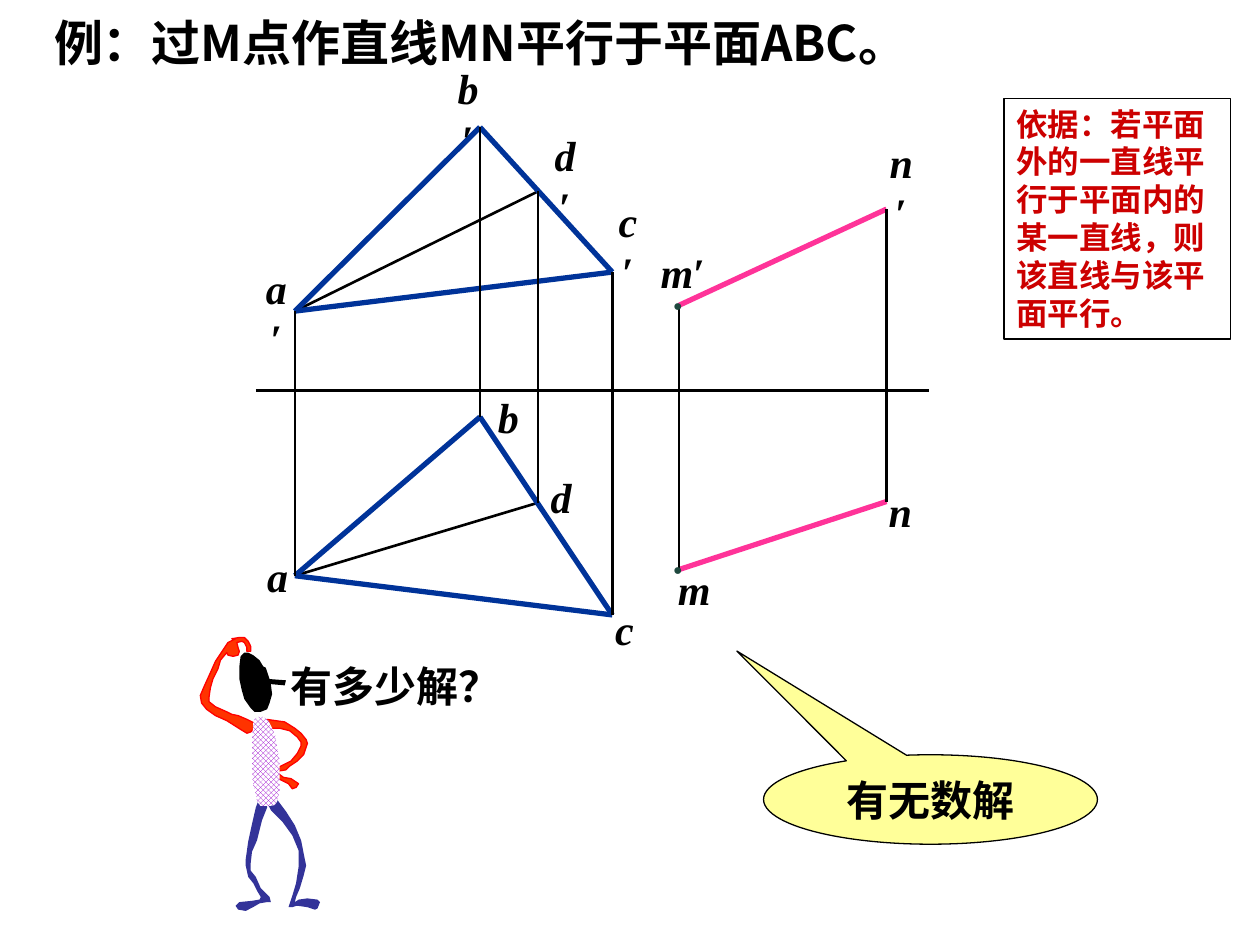
from dataclasses import dataclass

from lxml import etree
from pptx import Presentation
from pptx.dml.color import RGBColor
from pptx.enum.dml import MSO_PATTERN
from pptx.enum.shapes import MSO_CONNECTOR, MSO_SHAPE
from pptx.enum.text import MSO_ANCHOR, PP_ALIGN
from pptx.oxml.ns import qn
from pptx.util import Pt

STRAIGHT = MSO_CONNECTOR.STRAIGHT
RECT, CALLOUT = MSO_SHAPE.RECTANGLE, MSO_SHAPE.OVAL_CALLOUT
TOP, MIDDLE = MSO_ANCHOR.TOP, MSO_ANCHOR.MIDDLE
LEFT, CENTER = PP_ALIGN.LEFT, PP_ALIGN.CENTER
TRELLIS = MSO_PATTERN.TRELLIS


@dataclass(frozen=True)
class Theme:
    latin: str = "Times New Roman"
    cjk: str = "Noto Sans CJK SC"
    black: str = "000000"
    white: str = "FFFFFF"
    plane: str = "003399"
    answer: str = "FF3399"
    dot: str = "1E483E"
    rule: str = "CC0000"
    balloon: str = "FFFF99"
    skin: str = "FF3300"
    skin_edge: str = "FF0000"
    legs: str = "333399"
    shirt: str = "9900CC"
    title: float = 28
    body: float = 24
    note: float = 18
    mark: float = 9
    thin: float = 0.75
    medium: float = 1.5
    thick: float = 3


def rgb(color):
    return RGBColor.from_string(color)


class Drawing:
    def __init__(self, slide, theme):
        self.shapes = slide.shapes
        self.t = theme

    def fill_text(self, sp, text, size, color, font, align=LEFT, anchor=MIDDLE, wrap=True):
        tf = sp.text_frame
        tf.word_wrap = wrap
        tf.vertical_anchor = anchor
        p = tf.paragraphs[0]
        p.text = text
        p.alignment = align
        for r in p.runs:
            self.style(r, size, color, font)
        return sp

    def style(self, r, size, color, font):
        r.font.size, r.font.bold, r.font.name = Pt(size), True, font
        r.font.color.rgb = rgb(color)
        if font == self.t.cjk:
            etree.SubElement(r._r.rPr, qn("a:ea")).set("typeface", font)

    def text(self, text, box, size, color, font, **options):
        sp = self.shapes.add_textbox(*map(Pt, box))
        return self.fill_text(sp, text, size, color, font, **options)

    def label(self, letter, left, top, width, prime=False):
        """Italic point name; a prime stays upright and drops below in a narrow box."""
        sp = self.text(letter, (left, top, width, 36), self.t.body, self.t.black,
                       self.t.latin, align=CENTER, wrap=prime)
        tf = sp.text_frame
        p = tf.paragraphs[0]
        p.runs[0].font.italic = True
        if prime:
            tf.margin_left = tf.margin_right = Pt(8.5)
            r = p.add_run()
            r.text = "′"
            self.style(r, self.t.body, self.t.black, self.t.latin)

    def line(self, start, end, color, width):
        cx = self.shapes.add_connector(STRAIGHT, *map(Pt, (*start, *end)))
        cx.line.color.rgb, cx.line.width = rgb(color), Pt(width)
        etree.SubElement(cx._element.spPr, qn("a:effectLst"))

    def box(self, kind, box, fill=None):
        sp = self.shapes.add_shape(kind, *map(Pt, box))
        sp.shadow.inherit = False
        if fill:
            sp.fill.solid()
            sp.fill.fore_color.rgb = rgb(fill)
        else:
            sp.fill.background()
        sp.line.color.rgb, sp.line.width = rgb(self.t.black), Pt(self.t.thin)
        return sp

    def outline(self, points, fill, edge=None, pattern=None):
        """Closed outline on a grid of 0.72 pt."""
        fb = self.shapes.build_freeform(*points[0], scale=Pt(0.72))
        fb.add_line_segments(points[1:], close=True)
        sp = fb.convert_to_shape()
        sp.shadow.inherit = False
        if pattern:
            sp.fill.patterned()
            sp.fill.pattern = pattern
            sp.fill.back_color.rgb = rgb(self.t.white)
        else:
            sp.fill.solid()
        sp.fill.fore_color.rgb = rgb(fill)
        if edge:
            sp.line.color.rgb, sp.line.width = rgb(edge), Pt(self.t.thin)
        else:
            sp.line.fill.background()
        return sp


# Vertices of the front view (upper case) and the top view (lower case)
POINTS = {
    "A": (168.5, 177.8), "B": (274.3, 72.7), "C": (349.9, 155.5), "D": (307.4, 109.4),
    "M": (388, 174.5), "N": (506.6, 119.5),
    "a": (168.5, 329), "b": (274.3, 238.3), "c": (349.9, 351.4), "d": (307.4, 287.3),
    "m": (388, 325.5), "n": (506.6, 286.6),
}
# Point names: letter, left, top, width, primed
LABELS = [
    ("a", 141.8, 160.6, 32.4, True), ("b", 251.3, 46.8, 32.4, True),
    ("c", 343.4, 122.4, 31, True), ("d", 306.7, 85, 32.4, True),
    ("m", 357.1, 137.5, 66.2, True), ("n", 498.2, 88.6, 33.8, True),
    ("a", 145.4, 311, 26.6, False), ("b", 277.2, 220.3, 26.6, False),
    ("c", 344.2, 341.3, 25.2, False), ("d", 307.4, 265.7, 26.6, False),
    ("m", 380.2, 318.2, 33.1, False), ("n", 500.4, 273.6, 28.1, False),
]
# Outlines of the thinking figure
HEAD = [(209, 529), (206, 524), (201, 520), (197, 518), (194, 518), (191, 521), (190, 529),
        (190, 539), (192, 548), (194, 555), (199, 562), (202, 565), (207, 565), (212, 563),
        (214, 558), (216, 551), (215, 543), (226, 544), (227, 540), (214, 539), (211, 530)]
RAISED_ARM = [(184, 507), (190, 506), (194, 506), (197, 509), (199, 513), (199, 517),
              (196, 517), (196, 514), (194, 510), (192, 509), (188, 510), (189, 514),
              (190, 517), (189, 520), (185, 521), (181, 520), (180, 518), (175, 524),
              (173, 531), (169, 539), (167, 546), (166, 553), (166, 557), (171, 561),
              (180, 565), (184, 567), (189, 568), (196, 571), (202, 574), (202, 578),
              (199, 581), (196, 582), (191, 579), (180, 572), (171, 568), (164, 563),
              (160, 558), (159, 552), (162, 545), (167, 534), (171, 525), (177, 516),
              (181, 510), (187, 507)]
BENT_ARM = [(212, 571), (219, 572), (226, 573), (234, 578), (239, 582), (243, 587), (244, 590),
            (241, 599), (236, 604), (230, 608), (227, 611), (221, 612), (221, 614), (225, 617),
            (231, 618), (237, 622), (235, 625), (232, 626), (229, 622), (223, 619), (219, 617),
            (219, 614), (220, 610), (223, 608), (231, 604), (236, 598), (239, 592), (239, 589),
            (236, 585), (230, 580), (222, 578), (217, 578), (212, 578), (210, 574)]
RIGHT_LEG = [(218, 633), (214, 633), (213, 639), (215, 643), (224, 652), (232, 663), (237, 675),
             (237, 683), (237, 688), (235, 701), (232, 711), (230, 717), (229, 720), (232, 720),
             (235, 719), (237, 719), (244, 720), (250, 722), (252, 721), (254, 716), (252, 714),
             (244, 713), (237, 714), (234, 716), (235, 712), (238, 705), (241, 695), (243, 687),
             (241, 677), (239, 667), (234, 655), (227, 644), (221, 636)]
LEFT_LEG = [(206, 633), (203, 641), (200, 654), (197, 668), (195, 682), (195, 687), (197, 696),
            (201, 701), (204, 707), (207, 712), (206, 714), (200, 715), (190, 716), (187, 719),
            (189, 722), (195, 723), (201, 720), (206, 717), (212, 716), (215, 716), (214, 712),
            (207, 705), (203, 696), (199, 691), (199, 685), (200, 676), (204, 667), (208, 651),
            (212, 641), (211, 636), (208, 633)]
TORSO = [(201, 574), (202, 571), (205, 569), (209, 569), (213, 572), (216, 578), (219, 585),
         (220, 594), (222, 604), (222, 615), (222, 628), (220, 636), (218, 639), (212, 640),
         (207, 640), (204, 636), (203, 630), (201, 624), (200, 612), (200, 599), (200, 584),
         (201, 577)]


def main():
    prs = Presentation()
    prs.slide_width, prs.slide_height = Pt(720), Pt(540)
    t = Theme()
    s = Drawing(prs.slides.add_slide(prs.slide_layouts[6]), t)

    # Auxiliary line AD, answer MN and triangle ABC in both views
    for pair, color, width in [("AD", t.black, t.medium), ("MN", t.answer, t.thick),
                               *((side, t.plane, t.thick) for side in ("AB", "BC", "AC"))]:
        for start, end in (pair, pair.lower()):
            s.line(POINTS[start], POINTS[end], color, width)

    # Projection lines and axis
    for name in "ABCDMN":
        s.line(POINTS[name], POINTS[name.lower()], t.black, t.medium)
    s.line((146.2, 223.2), (530.6, 223.2), t.black, t.medium)

    # Given point M and the point names
    for top in (165.6, 316.1):
        s.text("●", (375.8, top, 23, 18), t.mark, t.dot, t.latin, align=CENTER, wrap=False)
    for label in LABELS:
        s.label(*label)

    # Title and theorem
    s.text("例：过M点作直线MN平行于平面ABC。", (23.8, 3.6, 642.2, 41), t.title, t.black, t.cjk)
    s.fill_text(s.box(RECT, (573.8, 56.2, 129.6, 137.5)),
                "依据：若平面外的一直线平行于平面内的某一直线，则该直线与该平面平行。",
                t.note, t.rule, t.cjk, anchor=TOP)

    # Question with the thinking figure
    question = s.text("有多少解？", (159.1, 373.7, 135.4, 36), t.body, t.black, t.cjk, wrap=False)
    figure = [
        s.outline(HEAD, t.black),
        s.outline(RAISED_ARM, t.skin, t.skin_edge),
        s.outline(BENT_ARM, t.skin, t.skin_edge),
        s.outline(RIGHT_LEG, t.legs),
        s.outline(LEFT_LEG, t.legs),
        s.outline(TORSO, t.shirt, pattern=TRELLIS),
    ]
    s.shapes.add_group_shape([question, *figure])

    # Answer balloon
    sp = s.box(CALLOUT, (436.3, 431.3, 190.8, 51.1), t.balloon)
    sp.adjustments[0], sp.adjustments[1] = -0.58, -1.66
    s.fill_text(sp, "有无数解", t.body, t.black, t.cjk, align=CENTER)

    prs.save("out.pptx")


if __name__ == "__main__":
    main()
